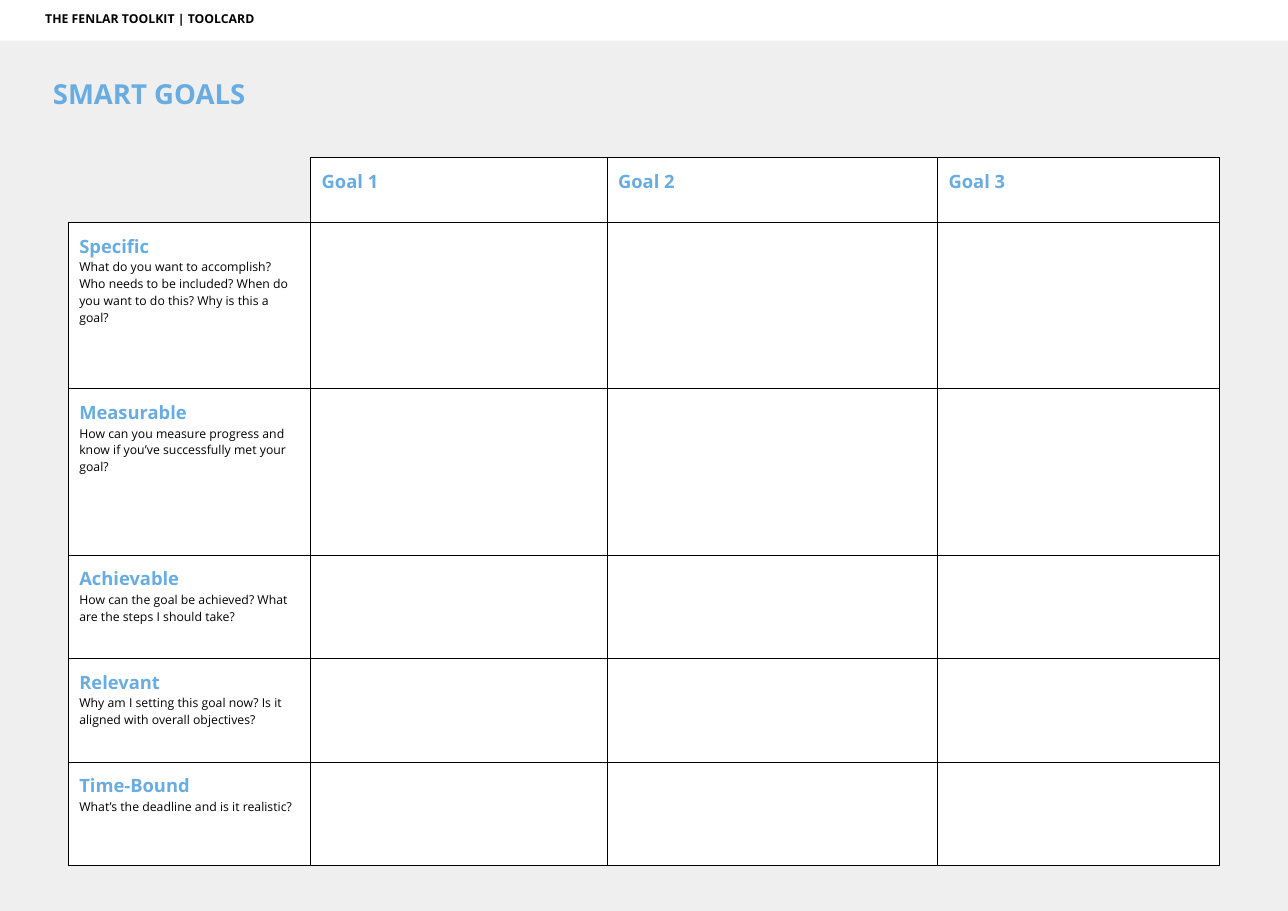
import pptx
import pptx.util
import pptx.dml.color
import pptx.enum.shapes
import pptx.enum.text
import pptx.oxml

Inches = pptx.util.Inches
COLORS = {"page": "EFEFEF", "white": "FFFFFF", "accent": "68ACE1", "ink": "000000"}
FONT = "Open Sans"
INSET = 0.1
BORDER_PT = 0.75
COLUMN_WIDTHS = [2.2, 2.69, 3, 2.56]
ROW_HEIGHTS = [0.59, 1.51, 1.51, 0.94, 0.94, 0.94]
GOALS = ["Goal 1", "Goal 2", "Goal 3"]
CRITERIA = [
    ("Specific", "What do you want to accomplish? Who needs to be included? "
                 "When do you want to do this? Why is this a goal?"),
    ("Measurable", "How can you measure progress and know if you’ve successfully met your goal?"),
    ("Achievable", "How can the goal be achieved? What are the steps I should take?"),
    ("Relevant", "Why am I setting this goal now? Is it aligned with overall objectives?"),
    ("Time-Bound", "What’s the deadline and is it realistic?"),
]
HEADING = {"size": pptx.util.Pt(12), "bold": True, "color": "accent"}
QUESTION = {"size": pptx.util.Pt(8), "bold": False, "color": "ink"}
TITLE = {"size": pptx.util.Pt(18), "bold": True, "color": "accent"}
BANNER = {"size": pptx.util.Pt(8), "bold": True, "color": "ink"}


def rgb(name):
    return pptx.dml.color.RGBColor.from_string(COLORS[name])


def write(paragraph, text, style):
    paragraph.alignment = pptx.enum.text.PP_ALIGN.LEFT
    run = paragraph.add_run()
    run.text = text
    run.font.name = FONT
    run.font.color.rgb = rgb(style["color"])
    for key in ("size", "bold"):
        setattr(run.font, key, style[key])


def set_frame(frame, left_inset, anchor):
    layout = {
        "margin_left": Inches(left_inset), "margin_right": Inches(INSET),
        "margin_top": Inches(INSET), "margin_bottom": Inches(INSET),
        "word_wrap": True, "vertical_anchor": anchor,
        "auto_size": pptx.enum.text.MSO_AUTO_SIZE.NONE,
    }
    for key, value in layout.items():
        setattr(frame, key, value)


def set_borders(cell, visible_sides):
    properties = cell._tc.get_or_add_tcPr()
    for position, side in enumerate("LRTB"):
        paint = "<a:noFill/>"
        if side in visible_sides:
            paint = f'<a:solidFill><a:srgbClr val="{COLORS["ink"]}"/></a:solidFill>'
        line = pptx.oxml.parse_xml(
            f'<a:ln{side} xmlns:a="http://schemas.openxmlformats.org/drawingml/2006/main" '
            f'w="{pptx.util.Pt(BORDER_PT)}">{paint}</a:ln{side}>')
        properties.insert(position, line)


def add_banner(slide, left, top, width, height):
    banner = slide.shapes.add_shape(
        pptx.enum.shapes.MSO_SHAPE.RECTANGLE,
        Inches(left), Inches(top), Inches(width), Inches(height))
    banner.shadow.inherit = False
    banner.fill.solid()
    banner.fill.fore_color.rgb = rgb("white")
    banner.line.fill.background()
    set_frame(banner.text_frame, 0.41, pptx.enum.text.MSO_ANCHOR.TOP)
    write(banner.text_frame.paragraphs[0], "THE FENLAR TOOLKIT | TOOLCARD", BANNER)


def add_title(slide, left, top, width, height):
    title = slide.shapes.title
    box = {"left": left, "top": top, "width": width, "height": height}
    for key, value in box.items():
        setattr(title, key, Inches(value))
    set_frame(title.text_frame, 0.48, pptx.enum.text.MSO_ANCHOR.MIDDLE)
    write(title.text_frame.paragraphs[0], "SMART GOALS", TITLE)


def add_goal_grid(slide, left, top, width, height):
    grid = slide.shapes.add_table(
        len(ROW_HEIGHTS), len(COLUMN_WIDTHS),
        Inches(left), Inches(top), Inches(width), Inches(height)).table
    grid.first_row = grid.horz_banding = False
    for column, share in zip(grid.columns, COLUMN_WIDTHS):
        column.width = Inches(width * share / sum(COLUMN_WIDTHS))
    for row, share in zip(grid.rows, ROW_HEIGHTS):
        row.height = Inches(height * share / sum(ROW_HEIGHTS))

    # White bordered cells, with an open top-left corner
    corner = grid.cell(0, 0)
    for cell in grid.iter_cells():
        for side in ("left", "right", "top", "bottom"):
            setattr(cell, f"margin_{side}", Inches(INSET))
        if cell == corner:
            cell.fill.background()
            set_borders(cell, "RB")
        else:
            cell.fill.solid()
            cell.fill.fore_color.rgb = rgb("white")
            set_borders(cell, "LRTB")

    # Goals across, criteria down
    for column, goal in enumerate(GOALS, 1):
        write(grid.cell(0, column).text_frame.paragraphs[0], goal, HEADING)
    for row, (criterion, question) in enumerate(CRITERIA, 1):
        frame = grid.cell(row, 0).text_frame
        write(frame.paragraphs[0], criterion, HEADING)
        write(frame.add_paragraph(), question, QUESTION)


deck = pptx.Presentation()
deck.slide_width, deck.slide_height = Inches(11.69), Inches(8.27)
toolcard = deck.slides.add_slide(deck.slide_layouts.get_by_name("Title Only"))
toolcard.background.fill.solid()
toolcard.background.fill.fore_color.rgb = rgb("page")
add_goal_grid(toolcard, 0.62, 1.43, sum(COLUMN_WIDTHS), sum(ROW_HEIGHTS))
add_title(toolcard, 0, 0.59, 4.45, 0.51)
add_banner(toolcard, 0, 0, 11.69, 0.37)
deck.save("out.pptx")
